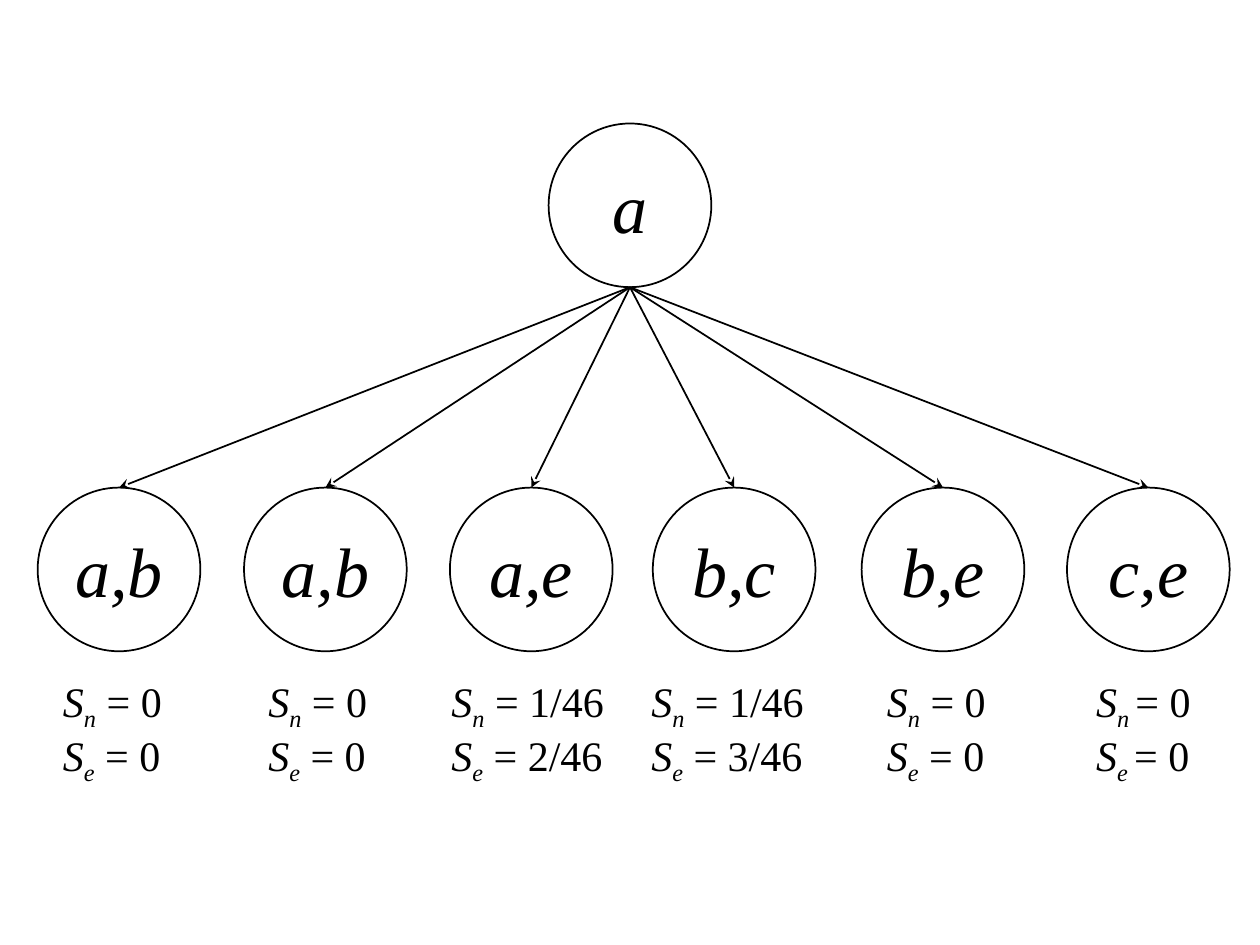
from lxml.etree import SubElement
from pptx import Presentation
from pptx.dml.color import RGBColor
from pptx.enum.shapes import MSO_CONNECTOR, MSO_SHAPE
from pptx.enum.text import MSO_ANCHOR, PP_ALIGN
from pptx.oxml.ns import qn
from pptx.util import Cm, Pt

COLORS = {"ink": "000000", "paper": "FFFFFF"}
FONT = "Times New Roman"
NODE_WIDTH, NODE_HEIGHT = 3.28, 3.3
ROOT_CENTER, ROOT_TOP, CHILD_TOP = 12.7, 2.49, 9.83
LABEL_HEIGHT = 1.27


class TreeSlide:
    def __init__(self, slide):
        self.slide = slide

    def color(self, name):
        return RGBColor.from_string(COLORS[name])

    def format_run(self, run, size, italic=True):
        run.font.name = FONT
        run.font.size = Pt(size)
        run.font.italic = italic
        run.font.color.rgb = self.color("ink")

    def format_line(self, line):
        line.color.rgb = self.color("ink")
        line.width = Pt(1)

    def node(self, center, top, text):
        shape = self.slide.shapes.add_shape(
            MSO_SHAPE.OVAL, Cm(center - NODE_WIDTH / 2), Cm(top),
            Cm(NODE_WIDTH), Cm(NODE_HEIGHT))
        shape.shadow.inherit = False
        shape.fill.solid()
        shape.fill.fore_color.rgb = self.color("paper")
        self.format_line(shape.line)
        frame = shape.text_frame
        frame.word_wrap = False
        frame.vertical_anchor = MSO_ANCHOR.MIDDLE
        frame.text = text
        paragraph = frame.paragraphs[0]
        paragraph.alignment = PP_ALIGN.CENTER
        self.format_run(paragraph.runs[0], 40)

    def arrow(self, start, end):
        connector = self.slide.shapes.add_connector(
            MSO_CONNECTOR.STRAIGHT, *map(Cm, start + end))
        self.format_line(connector.line)
        SubElement(connector.line._get_or_add_ln(), qn("a:tailEnd"), type="stealth")
        SubElement(connector._element.spPr, qn("a:effectLst"))

    def score(self, left, top, width, subscript, value):
        box = self.slide.shapes.add_textbox(
            Cm(left), Cm(top), Cm(width), Cm(LABEL_HEIGHT))
        box.text_frame.word_wrap = True
        paragraph = box.text_frame.paragraphs[0]
        for text, italic in (("S", True), (subscript, True), (value, False)):
            run = paragraph.add_run()
            run.text = text
            self.format_run(run, 24, italic)
        paragraph.runs[1].font._element.set("baseline", "-25000")


presentation = Presentation()
presentation.slide_width = Cm(25.4)
presentation.slide_height = Cm(19.05)
tree = TreeSlide(presentation.slides.add_slide(presentation.slide_layouts[6]))

# Children: center, text, label left, label width, space in subscript, scores
children = [
    (2.4, "a,b", 1.02, 2.77, False, ("0", "0")),
    (6.56, "a,b", 5.16, 2.77, False, ("0", "0")),
    (10.71, "a,e", 8.85, 3.86, False, ("1/46", "2/46")),
    (14.8, "b,c", 12.88, 3.86, False, ("1/46", "3/46")),
    (19.01, "b,e", 17.63, 2.77, False, ("0", "0")),
    (23.15, "c,e", 21.85, 2.6, True, ("0", "0")),
]
score_rows = [("n", 13.49), ("e", 14.58)]

# Root node
tree.node(ROOT_CENTER, ROOT_TOP, "a")

# Child nodes with their arrows and scores
for center, text, left, width, narrow, scores in children:
    tree.node(center, CHILD_TOP, text)
    tree.arrow((ROOT_CENTER, ROOT_TOP + NODE_HEIGHT), (center, CHILD_TOP))
    for (letter, top), score in zip(score_rows, scores):
        subscript, equals = (letter + " ", "= ") if narrow else (letter, " = ")
        tree.score(left, top, width, subscript, equals + score)

presentation.save("out.pptx")
